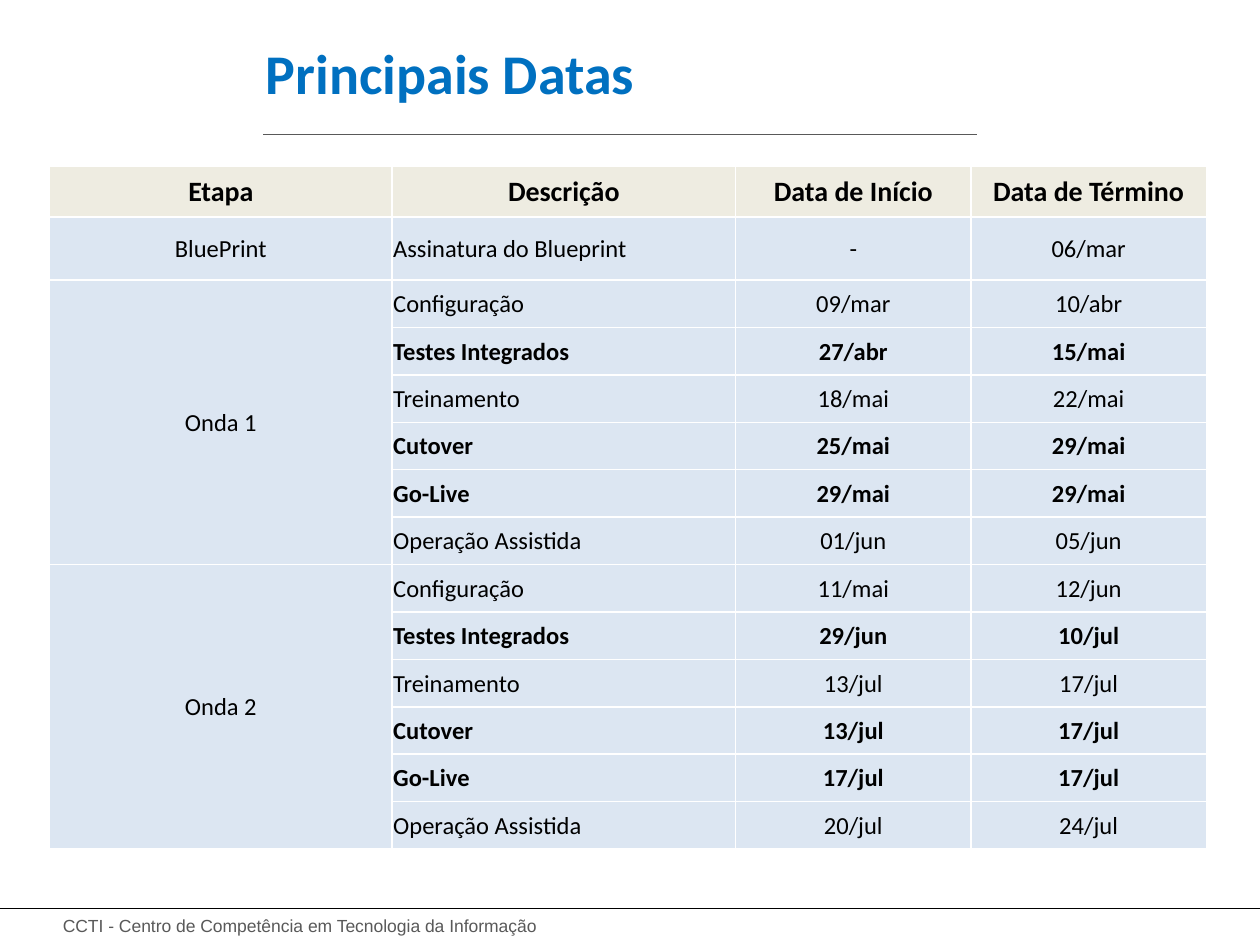
from lxml.etree import SubElement
from pptx import Presentation
from pptx.dml.color import RGBColor
from pptx.enum.shapes import MSO_CONNECTOR
from pptx.enum.text import MSO_ANCHOR, PP_ALIGN
from pptx.oxml.ns import qn
from pptx.util import Pt

WHITE = RGBColor(0xFF, 0xFF, 0xFF)
BLACK = RGBColor(0x00, 0x00, 0x00)
GRAY = RGBColor(0x59, 0x59, 0x59)
BLUE = RGBColor(0x00, 0x70, 0xC0)
HEADER_FILL = RGBColor(0xEE, 0xEC, 0xE1)
BODY_FILL = RGBColor(0xDC, 0xE6, 0xF2)

HEADERS = ["Etapa", "Descrição", "Data de Início", "Data de Término"]
STAGES = [
    ("BluePrint", [("Assinatura do Blueprint", "-", "06/mar")]),
    ("Onda 1", [
        ("Configuração", "09/mar", "10/abr"),
        ("Testes Integrados", "27/abr", "15/mai"),
        ("Treinamento", "18/mai", "22/mai"),
        ("Cutover", "25/mai", "29/mai"),
        ("Go-Live", "29/mai", "29/mai"),
        ("Operação Assistida", "01/jun", "05/jun"),
    ]),
    ("Onda 2", [
        ("Configuração", "11/mai", "12/jun"),
        ("Testes Integrados", "29/jun", "10/jul"),
        ("Treinamento", "13/jul", "17/jul"),
        ("Cutover", "13/jul", "17/jul"),
        ("Go-Live", "17/jul", "17/jul"),
        ("Operação Assistida", "20/jul", "24/jul"),
    ]),
]
BOLD_STEPS = {"Testes Integrados", "Cutover", "Go-Live"}
COLUMN_WIDTHS = [195.6, 196.4, 134.5, 134.5]
HEADER_HEIGHT, BLUEPRINT_HEIGHT, STEP_HEIGHT = 29.4, 36, 27.1


def add_span(para, text, size, color, bold=False, font="Calibri"):
    span = para.add_run()
    span.text = text
    span.font.name = font
    span.font.size = Pt(size)
    span.font.bold = bold
    span.font.color.rgb = color


def format_cell(cell, fill, top_width=1):
    """Set margins, white borders and fill; borders must precede the fill."""
    cell.margin_left = cell.margin_top = cell.margin_right = Pt(0.7)
    cell.margin_bottom = Pt(0)
    cell.vertical_anchor = MSO_ANCHOR.MIDDLE
    properties = cell._tc.get_or_add_tcPr()
    for side, width in (("L", 1), ("R", 1), ("T", top_width), ("B", 1)):
        border = SubElement(properties, qn(f"a:ln{side}"), w=str(Pt(width)))
        solid = SubElement(border, qn("a:solidFill"))
        SubElement(solid, qn("a:srgbClr"), val=str(WHITE))
    cell.fill.solid()
    cell.fill.fore_color.rgb = fill


deck = Presentation()
deck.slide_width, deck.slide_height = Pt(720), Pt(540)
page = deck.slides.add_slide(deck.slide_layouts[5])
page.background.fill.solid()
page.background.fill.fore_color.rgb = WHITE

# Footer
footer = page.shapes.add_textbox(Pt(28.8), Pt(519.1), Pt(354.2), Pt(19.4))
footer.text_frame.word_wrap = True
add_span(footer.text_frame.paragraphs[0],
         "CCTI - Centro de Competência em Tecnologia da Informação",
         10, GRAY, font="Arial")

# Rules above the footer and below the title
for left, right, y, color, width in (
    (0, 720, 519.1, BLACK, 0.75),
    (150.5, 558.5, 77, GRAY, 0.5),
):
    rule = page.shapes.add_connector(
        MSO_CONNECTOR.STRAIGHT, Pt(left), Pt(y), Pt(right), Pt(y))
    rule.line.color.rgb = color
    rule.line.width = Pt(width)
    SubElement(rule._element.spPr, qn("a:effectLst"))

# Title
title = page.shapes.title
title.left, title.top, title.width, title.height = Pt(144.7), Pt(10.1), Pt(447), Pt(62.6)
title.text_frame.vertical_anchor = MSO_ANCHOR.MIDDLE
para = title.text_frame.paragraphs[0]
para.alignment = PP_ALIGN.LEFT
add_span(para, "Principais Datas", 32, BLUE, bold=True)

# Schedule table
step_count = sum(len(steps) for stage, steps in STAGES)
row_heights = [HEADER_HEIGHT, BLUEPRINT_HEIGHT] + [STEP_HEIGHT] * (step_count - 1)
table = page.shapes.add_table(
    len(row_heights), len(HEADERS), Pt(28.4), Pt(94.6),
    Pt(sum(COLUMN_WIDTHS)), Pt(sum(row_heights))).table
for column, width in zip(table.columns, COLUMN_WIDTHS):
    column.width = Pt(width)
for row, height in zip(table.rows, row_heights):
    row.height = Pt(height)

for column, text in enumerate(HEADERS):
    cell = table.cell(0, column)
    format_cell(cell, HEADER_FILL, top_width=1.5)
    para = cell.text_frame.paragraphs[0]
    para.alignment = PP_ALIGN.CENTER
    add_span(para, text, 16, BLACK, bold=True)

row = 1
for stage, steps in STAGES:
    first_row = row
    for step in steps:
        for column in range(len(HEADERS)):
            format_cell(table.cell(row, column), BODY_FILL)
        for column, text in enumerate(step, start=1):
            para = table.cell(row, column).text_frame.paragraphs[0]
            para.alignment = PP_ALIGN.LEFT if column == 1 else PP_ALIGN.CENTER
            add_span(para, text, 14, BLACK, bold=step[0] in BOLD_STEPS)
        row += 1
    stage_cell = table.cell(first_row, 0)
    if len(steps) > 1:
        stage_cell.merge(table.cell(row - 1, 0))
    para = stage_cell.text_frame.paragraphs[0]
    para.alignment = PP_ALIGN.CENTER
    add_span(para, stage, 14, BLACK)

deck.save("out.pptx")
